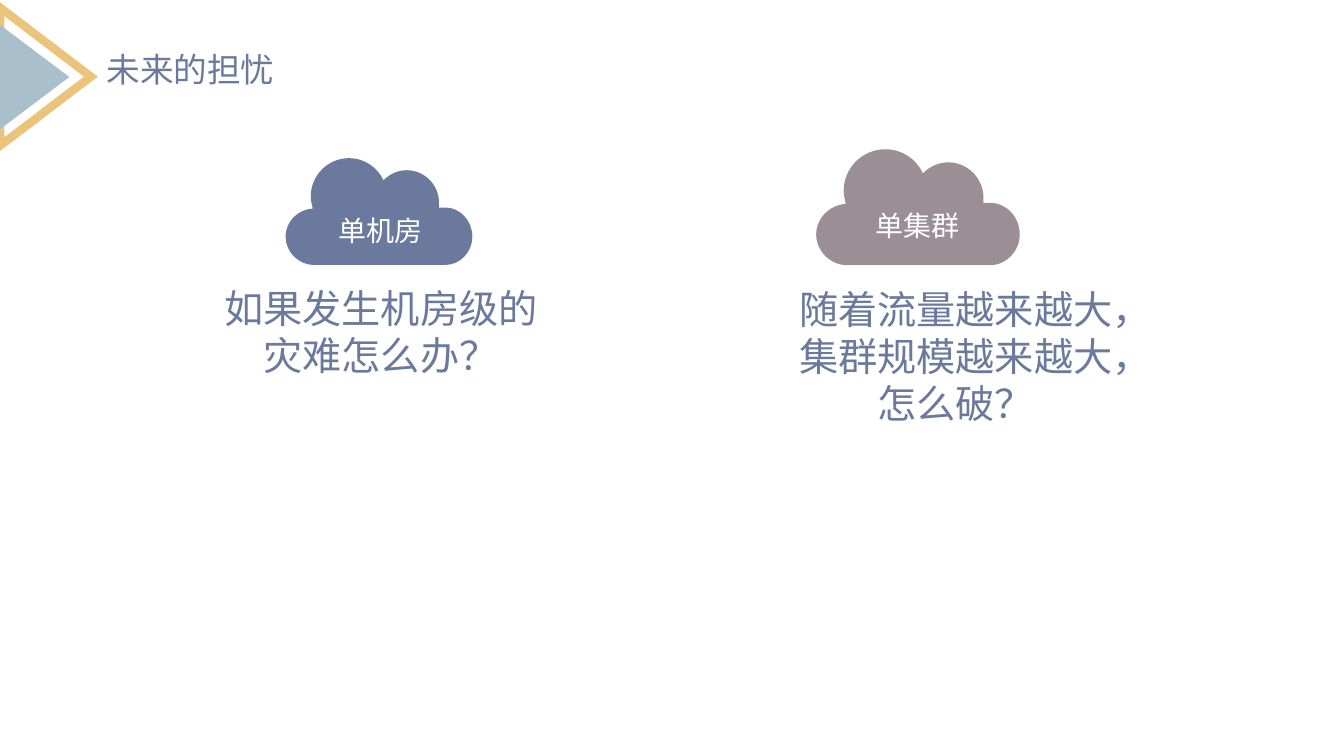
from pptx import Presentation
from pptx.dml.color import RGBColor
from pptx.enum.shapes import MSO_SHAPE
from pptx.enum.text import MSO_ANCHOR, MSO_AUTO_SIZE, PP_ALIGN
from pptx.oxml.ns import qn
from pptx.util import Pt

FONT = "Noto Sans CJK SC"
BLUE = RGBColor(0x6B, 0x79, 0x9C)
MAUVE = RGBColor(0x9B, 0x8E, 0x95)
GOLD = RGBColor(0xEA, 0xC4, 0x7B)
PALE_BLUE = RGBColor(0xA9, 0xBF, 0xCC)
WHITE = RGBColor(0xFF, 0xFF, 0xFF)
TRIANGLE = MSO_SHAPE.ISOSCELES_TRIANGLE
LEFT, CENTER = PP_ALIGN.LEFT, PP_ALIGN.CENTER
MIDDLE = MSO_ANCHOR.MIDDLE
GROW = MSO_AUTO_SIZE.SHAPE_TO_FIT_TEXT

# Cloud outline on a 185 x 106 grid: start, then cubic curves
CLOUD_SIZE = (185, 106)
CLOUD_START = (27, 50)
CLOUD_CURVES = [
    ((26, 46), (25, 42), (25, 38)), ((25, 17), (42, 0), (63, 0)),
    ((78, 0), (91, 9), (97, 22)), ((103, 16), (111, 12), (120, 12)),
    ((138, 12), (152, 27), (152, 44)), ((152, 46), (152, 48), (152, 49)),
    ((158, 49), (158, 49), (158, 49)), ((173, 49), (185, 62), (185, 78)),
    ((185, 93), (173, 106), (158, 106)), ((28, 106), (28, 106), (28, 106)),
    ((13, 106), (0, 93), (0, 78)), ((0, 63), (12, 51), (27, 50)),
]


def add_text(slide, box, text, size, color, align=LEFT):
    s = slide.shapes.add_textbox(*map(Pt, box))
    tf = s.text_frame
    tf.word_wrap = True
    tf.auto_size = GROW
    p = tf.paragraphs[0]
    p.text = text
    p.alignment = align
    r = p.runs[0]
    r.font.size = Pt(size)
    r.font.name = FONT
    r.font.color.rgb = color
    ea = r.font._element.makeelement(qn("a:ea"), {"typeface": FONT})
    r.font._element.append(ea)
    return tf


def add_cloud(slide, box, color):
    x, y, w, h = box
    scale = (Pt(w) / CLOUD_SIZE[0], Pt(h) / CLOUD_SIZE[1])
    builder = slide.shapes.build_freeform(*CLOUD_START, scale=scale)
    builder.add_line_segments([curve[-1] for curve in CLOUD_CURVES])
    s = builder.convert_to_shape(Pt(x), Pt(y))
    # Bend each straight segment into its cubic curve
    segments = list(s._element.iter(qn("a:lnTo")))
    for segment, curve in zip(segments, CLOUD_CURVES):
        bend = segment.makeelement(qn("a:cubicBezTo"), {})
        for px, py in curve:
            bend.append(bend.makeelement(qn("a:pt"), {"x": str(px), "y": str(py)}))
        segment.getparent().replace(segment, bend)
    s.shadow.inherit = False
    s.fill.solid()
    s.fill.fore_color.rgb = color
    s.line.fill.background()


def add_concern(slide, box, color, label, label_at, question, question_at):
    """Cloud in the box; label and question boxes are offset from its corner."""
    x, y = box[:2]
    add_cloud(slide, box, color)
    tf = add_text(slide, (x + label_at[0], y + label_at[1], 99.4, 57.6),
                  label, 20, WHITE, CENTER)
    tf.auto_size = MSO_AUTO_SIZE.NONE
    tf.word_wrap = False
    tf.vertical_anchor = MIDDLE
    tf.margin_left = tf.margin_right = Pt(5)
    tf.margin_top = tf.margin_bottom = Pt(2.9)
    add_text(slide, (x + question_at[0], y + question_at[1], 240.5, question_at[2]),
             question, 28, BLUE, CENTER)


def add_header(slide, box, title):
    x, y, w, h = box
    # Outlined triangle pointing right
    outer = slide.shapes.add_shape(TRIANGLE, *map(Pt, (x - 16.8, y + 22.4, 98.6, 64.8)))
    outer.fill.background()
    outer.line.color.rgb = GOLD
    outer.line.width = Pt(6)
    ln = outer.line._get_or_add_ln()
    ln.append(ln.makeelement(qn("a:miter"), {"lim": "800000"}))
    # Filled triangle inside it
    inner = slide.shapes.add_shape(TRIANGLE, *map(Pt, (x - 12.8, y + 30.2, 74.9, 49.7)))
    inner.fill.solid()
    inner.fill.fore_color.rgb = PALE_BLUE
    inner.line.fill.background()
    for s in (outer, inner):
        s.rotation = 90
        s.shadow.inherit = False
    # Title
    add_text(slide, (x + 69, y + 31.7, w - 69, h), title, 24, BLUE)


def main():
    prs = Presentation()
    prs.slide_width, prs.slide_height = Pt(960), Pt(540)
    slide = prs.slides.add_slide(prs.slide_layouts[6])
    add_concern(slide, (204, 113, 133.4, 76.3), BLUE, "单机房", (18.4, 22.8),
                "如果发生机房级的灾难怎么办？", (-52.1, 86.4, 74.9))
    add_concern(slide, (583, 106.6, 145.4, 82.8), MAUVE, "单集群", (22.5, 25.9),
                "随着流量越来越大，集群规模越来越大，怎么破？", (-20.5, 93.6, 108.7))
    add_header(slide, (0, 0, 279, 36), "未来的担忧")
    prs.save("out.pptx")


if __name__ == "__main__":
    main()
